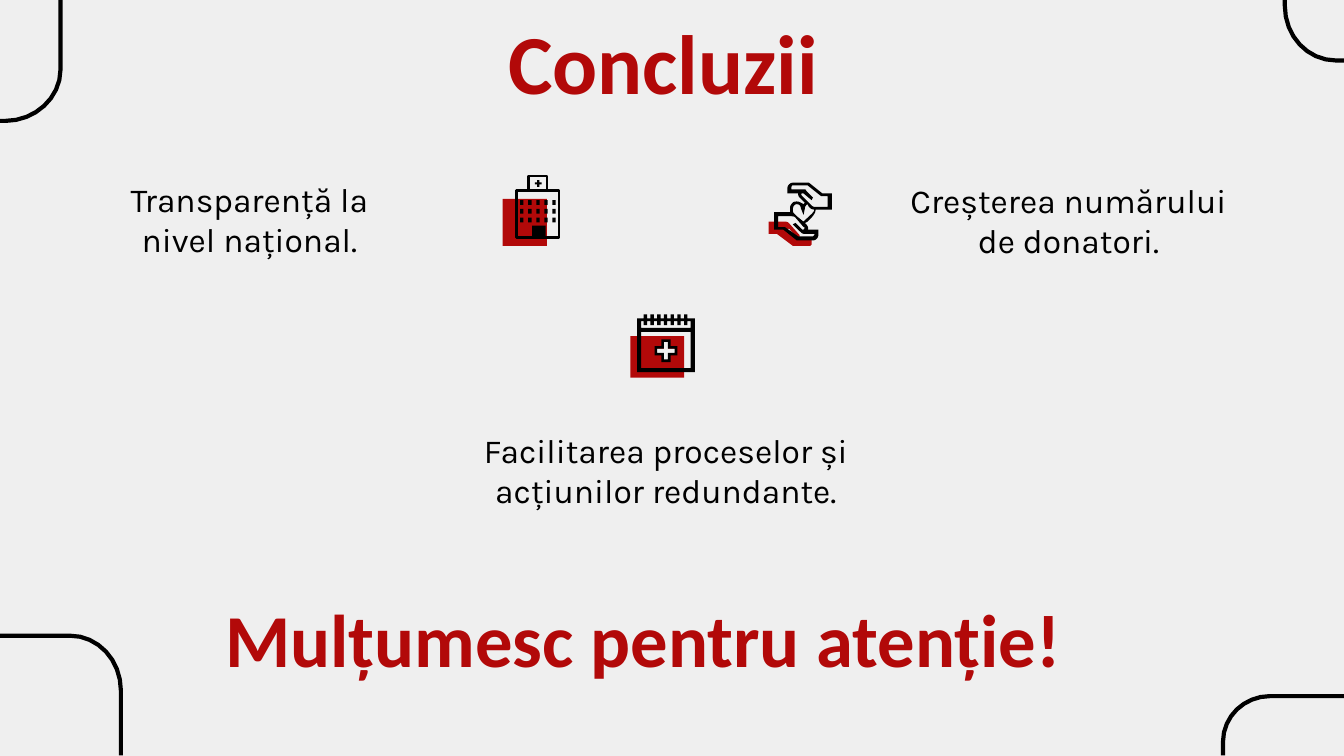
from dataclasses import dataclass

from pptx import Presentation
from pptx.dml.color import RGBColor
from pptx.enum.shapes import MSO_SHAPE
from pptx.enum.text import MSO_ANCHOR, PP_ALIGN
from pptx.util import Pt

RED, BLACK, PALE = "B20909", "000000", "EFEFEF"
CELL = 0.72  # points per drawing unit
STEPS = 8  # straight pieces per curve

BODY = {"name": "Karla", "size": Pt(18), "bold": False}
TITLE = {"name": "Calibri", "size": Pt(45), "bold": True}
CLOSE = {**TITLE, "size": Pt(40)}


@dataclass
class Label:
    text: str
    left: float
    top: float
    width: float
    font: dict
    color: str = BLACK
    anchor: MSO_ANCHOR = MSO_ANCHOR.TOP


@dataclass
class Box:
    """A rectangle in drawing units from its icon's corner."""
    left: float
    top: float
    width: float
    height: float
    fill: str | None = BLACK
    line: float = 0


@dataclass
class Outline:
    """Paths of points (2 numbers) and curves (6 numbers)."""
    paths: list
    fill: str | None = BLACK
    line: float = 0


@dataclass
class Icon:
    left: float
    top: float
    items: list


def rgb(color: str) -> RGBColor:
    return RGBColor.from_string(color)


def paint(shape, fill: str | None, line: float) -> None:
    shape.shadow.inherit = False
    if fill:
        shape.fill.solid()
        shape.fill.fore_color.rgb = rgb(fill)
    else:
        shape.fill.background()
    if line:
        shape.line.color.rgb = rgb(BLACK)
        shape.line.width = Pt(line)
    else:
        shape.line.fill.background()


def trace(steps: list) -> list:
    """Turn points and cubic curves into points in EMU."""
    spots = []
    for step in steps:
        if len(step) == 2:
            spots.append(step)
            continue
        knots = [spots[-1], step[:2], step[2:4], step[4:]]
        for i in range(1, STEPS + 1):
            t = i / STEPS
            mix = ((1 - t) ** 3, 3 * t * (1 - t) ** 2, 3 * t * t * (1 - t), t ** 3)
            spots.append(tuple(sum(m * k[axis] for m, k in zip(mix, knots))
                               for axis in (0, 1)))
    return [(Pt(x * CELL), Pt(y * CELL)) for x, y in spots]


def draw_item(shapes, item: Box | Outline, left: float, top: float) -> None:
    if isinstance(item, Box):
        shape = shapes.add_shape(
            MSO_SHAPE.RECTANGLE, Pt(left + item.left * CELL), Pt(top + item.top * CELL),
            Pt(item.width * CELL), Pt(item.height * CELL))
    else:
        first, *rest = [trace(steps) for steps in item.paths]
        pen = shapes.build_freeform(*first[0])
        closed = item.fill is not None
        pen.add_line_segments(first[1:], close=closed)
        for spots in rest:
            pen.move_to(*spots[0])
            pen.add_line_segments(spots[1:], close=closed)
        shape = pen.convert_to_shape(Pt(left), Pt(top))
    paint(shape, item.fill, item.line)


def draw_icon(shapes, icon: Icon) -> None:
    group = shapes.add_group_shape()
    for item in icon.items:
        draw_item(group.shapes, item, icon.left, icon.top)


def draw_label(shapes, label: Label) -> None:
    frame = shapes.add_textbox(Pt(label.left), Pt(label.top),
                               Pt(label.width), Pt(45.4)).text_frame
    form = {"word_wrap": True, "vertical_anchor": label.anchor}
    for side in ("left", "top", "right", "bottom"):
        form[f"margin_{side}"] = Pt(7.2)
    para = frame.paragraphs[0]
    para.alignment = PP_ALIGN.CENTER
    run = para.add_run()
    run.text = label.text
    for target, values in ((frame, form), (run.font, label.font)):
        for key, value in values.items():
            setattr(target, key, value)
    run.font.color.rgb = rgb(label.color)


def plus(x: float, y: float, reach: float, half: float) -> list:
    """Path of a plus sign centred on x, y."""
    turns = ((1, 0), (0, 1), (-1, 0), (0, -1))
    return [(x + c * a - s * b, y + s * a + c * b) for c, s in turns
            for a, b in ((reach, -half), (reach, half), (half, half))]


def comb(y: float, tip: float) -> list:
    """Seven binder rings along y, reaching to tip."""
    return [spot for x in range(10, 41, 5)
            for spot in ((x, y), (x, tip), (x + 2.5, tip), (x + 2.5, y))]


CORNERS = [
    [(1000, 518), (945, 518), (926, 518, 910, 533, 910, 552), (910, 562)],
    [(0, 90), (4, 90), (26, 90, 45, 73, 45, 52), (45, 0)],
    [(0, 473), (52, 473), (73, 473, 90, 491, 90, 514), (90, 562)],
    [(956, 0), (956, 4), (956, 27, 973, 45, 994, 45), (1000, 45)],
]

CALENDAR = Icon(337.7, 168.5, [
    Box(0, 16, 40, 31, RED),
    Outline([plus(26.5, 27, 7, 1.5)], PALE),
    Outline([[(5, 3), *comb(3, 0), (48, 3), (48, 43), (5, 43)],
             [(8, 5), *comb(5, 8), (45, 5), (45, 10), (8, 10)],
             [(8, 13), (45, 13), (45, 40), (8, 40)]]),
    Outline([plus(26.5, 27, 8.5, 3.5), plus(26.5, 27, 6.5, 1.5)]),
])

HEART = [(21, 16), (19, 16, 18, 18, 18, 20), (18, 21, 18, 22, 19, 23), (21, 25),
         (26, 29), (27, 28), (31, 24, 34, 22, 34, 20), (32, 20, 31, 19, 30, 18),
         (29, 16), (27, 17, 27, 19, 27, 19), (26, 24), (24, 19),
         (24, 19, 24, 16, 21, 16)]
HANDS = Icon(411.8, 97.9, [
    Outline([[(32, 44), (32, 42), (21, 42), (16, 37), (13, 35), (10, 37), (20, 45)]], RED),
    Outline([[(0, 29), (0, 38), (6, 38), (18, 47), (31, 47), (32, 46), (32, 44),
              (22, 44), (21, 44, 19, 44, 19, 43), (13, 37), (15, 34), (21, 41),
              (23, 41), (23, 39), (15, 30), (14, 29, 13, 29, 12, 29)]], RED),
    Outline([HEART], PALE),
    Outline([
        [(29, 2), (39, 10), (44, 10), (44, 18), (34, 18), (33, 18, 32, 17, 31, 16),
         (25, 10), (24, 9, 24, 8, 25, 8), (26, 8), (32, 13), (33, 11), (28, 6),
         (28, 5, 27, 5, 26, 5), (17, 5), (17, 4), (17, 3, 17, 2, 18, 2)],
        HEART,
        [(17, 25), (18, 25, 19, 25, 20, 26), (26, 33), (27, 33, 27, 34, 26, 35),
         (25, 35), (20, 30), (18, 31), (23, 36), (24, 37, 25, 38, 26, 38), (34, 38),
         (34, 39), (33, 40), (22, 40), (12, 33), (7, 33), (7, 25)],
        [(18, 0), (16, 0, 14, 2, 14, 4), (14, 8), (22, 8), (22, 9, 22, 10, 23, 11),
         (27, 15), (26, 16), (24, 15, 23, 14, 21, 14), (20, 14, 18, 14, 17, 16),
         (16, 17, 16, 18, 16, 20), (16, 22), (4, 22), (4, 35), (11, 35), (21, 43),
         (33, 43), (35, 43, 37, 41, 37, 39), (37, 35), (29, 35),
         (30, 34, 29, 32, 28, 31), (27, 30), (29, 29), (32, 26, 35, 23, 35, 20),
         (47, 20), (47, 8), (40, 8), (30, 0)],
    ]),
])

HOSPITAL = Icon(269.3, 94.3, [
    Box(0, 17, 33, 35, RED),
    Box(10, 11, 32, 35, None, 1.5),
    Box(19, 0, 14, 11, None, 1.5),
    *[Box(13 + 6 * col, 18 + 6.5 * row, 2.5, 3.5) for row in range(3) for col in range(5)],
    Box(22, 37, 10, 9),
    Outline([plus(26.5, 5.5, 2.5, 0.8)]),
])

LABELS = [
    Label("Facilitarea proceselor și acțiunilor redundante.", 238.3, 223.2, 236.9, BODY),
    Label("Concluzii", 25.2, 10.1, 660.2, TITLE, RED, MSO_ANCHOR.MIDDLE),
    Label("Transparență la nivel național.", 41.8, 88.6, 183.6, BODY),
    Label("Creșterea numărului de donatori.", 470.2, 89.3, 204.5, BODY),
    Label("Mulțumesc pentru atenție!", 14.4, 319, 660.2, CLOSE, RED, MSO_ANCHOR.MIDDLE),
]


def main() -> None:
    deck = Presentation()
    deck.slide_width, deck.slide_height = Pt(720), Pt(405)
    slide = deck.slides.add_slide(deck.slide_layouts[6])
    slide.background.fill.solid()
    slide.background.fill.fore_color.rgb = rgb(PALE)
    for steps in CORNERS:
        draw_item(slide.shapes, Outline([steps], None, 2.25), 0, 0)
    for icon in (CALENDAR, HANDS, HOSPITAL):
        draw_icon(slide.shapes, icon)
    for label in LABELS:
        draw_label(slide.shapes, label)
    deck.save("out.pptx")


if __name__ == "__main__":
    main()
